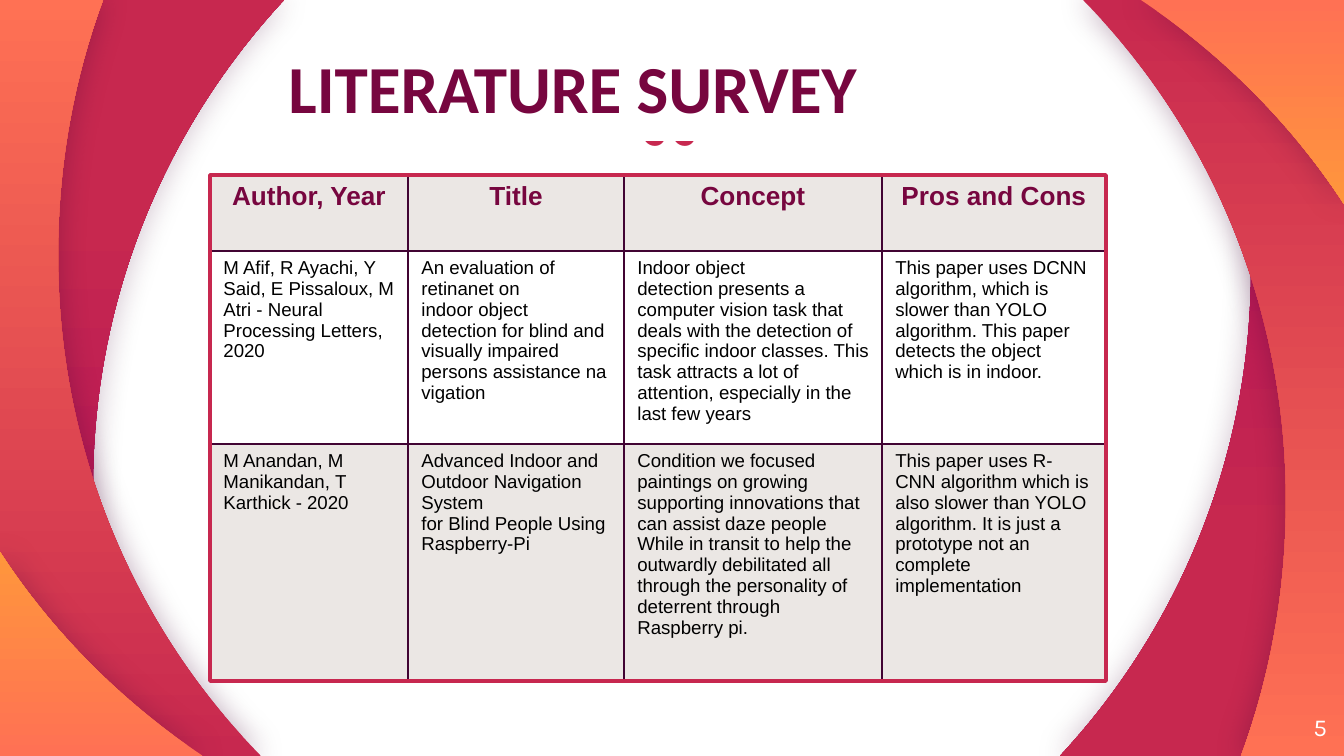
from lxml import etree
from pptx import Presentation
from pptx.dml.color import RGBColor
from pptx.enum.shapes import MSO_SHAPE
from pptx.enum.text import MSO_ANCHOR, MSO_AUTO_SIZE, PP_ALIGN
from pptx.oxml.ns import qn
from pptx.util import Pt

LEFT, CENTER, RIGHT = PP_ALIGN.LEFT, PP_ALIGN.CENTER, PP_ALIGN.RIGHT
TOP, MIDDLE = MSO_ANCHOR.TOP, MSO_ANCHOR.MIDDLE
RECT = MSO_SHAPE.RECTANGLE

WHITE = RGBColor(0xFF, 0xFF, 0xFF)
BLACK = RGBColor(0x00, 0x00, 0x00)
WINE = RGBColor(0x77, 0x06, 0x3F)
PLUM = RGBColor(0x41, 0x04, 0x33)
BERRY = RGBColor(0xAC, 0x0C, 0x5C)
RED = RGBColor(0xC7, 0x28, 0x4F)
CORAL = RGBColor(0xFF, 0x71, 0x54)
AMBER = RGBColor(0xFF, 0x96, 0x3C)
GREY = RGBColor(0xEB, 0xE7, 0xE4)

WIDE, HIGH = 1344, 756
EMU = 9144000 / WIDE
TIE = "~"  # stands for a no-break space in the texts below
HARD = chr(160)

TITLE = "LITERATURE SURVEY"
HEADS = ["Author, Year", "Title", "Concept", "Pros and Cons"]
PAPERS = [
    ["M Afif,~R Ayachi,~Y Said, E Pissaloux,~M Atri~- Neural Processing Letters, 2020~",
     "An evaluation of retinanet on indoor~object detection~for~blind~and visually "
     "impaired persons~assistance~navigation",
     "Indoor~object detection~presents a computer vision task that deals with the~"
     "detection~of specific indoor classes. This task attracts a lot of attention, "
     "especially in the last few years",
     "This paper uses DCNN algorithm, which is slower than YOLO algorithm. "
     "This paper detects the object which is in indoor."],
    ["M Anandan,~M Manikandan,~T Karthick~- 2020",
     "Advanced Indoor and Outdoor Navigation System for~Blind~People~Using Raspberry-Pi",
     "Condition we focused paintings~on~growing supporting innovations that can~assist~daze "
     "people While in transit to~help~the outwardly debilitated all through the "
     "personality of deterrent through Raspberry pi.~",
     "This paper uses R-CNN algorithm which is also slower than YOLO algorithm. "
     "It is just a prototype not an complete implementation"],
]
COLS = [198, 216, 258, 224]
ROWS = [76, 193, 237]
FRAME = (210, 175, sum(COLS), sum(ROWS))
MASKS = [(633, 44, 95, 95), (625, 62, 99, 72)]

# Right-hand bands; each one returns on the left turned by 180 degrees.
# Every three curve points are two handles and an end.
BANDS = [
    {"start": (1199, 0),
     "curve": [(1234, 86), (1251, 176), (1251, 269),
               (1251, 457), (1179, 628), (1060, 756)],
     "lines": [(WIDE, HIGH), (WIDE, 0)],
     "stops": [(0, BERRY), (0.72, RED)], "alpha": 25},
    {"start": (1083, 0),
     "curve": [(1210, 129), (1286, 306), (1286, 501),
               (1286, 589), (1271, 675), (1241, 756)],
     "lines": [(WIDE, HIGH), (WIDE, 0)],
     "stops": [(0, RED), (1, CORAL)], "alpha": 35},
    {"start": (1141, 0),
     "curve": [(1222, 54), (1292, 124), (1344, 204)],
     "lines": [(WIDE, 0)],
     "stops": [(0, CORAL), (1, AMBER)], "alpha": 30},
]


def px(*sizes):
    return [round(size * EMU) for size in sizes]


def bend(shape, count):
    """Turn the first count line points into cubic curves, three to a curve."""
    lines = list(shape._element.iter(qn("a:lnTo")))[:count]
    for first in range(0, count, 3):
        curve = etree.Element(qn("a:cubicBezTo"))
        lines[first].addprevious(curve)
        for line in lines[first:first + 3]:
            curve.append(line[0])
            line.getparent().remove(line)


def add_glow(shape, alpha):
    """Soft shadow on all sides."""
    shape.shadow.inherit = False
    effects = shape._element.spPr.find(qn("a:effectLst"))
    outer = etree.SubElement(effects, qn("a:outerShdw"), blurRad=str(Pt(16.9)),
                             dist="0", dir="0", algn="ctr", rotWithShape="0")
    color = etree.SubElement(outer, qn("a:srgbClr"), val=str(PLUM))
    etree.SubElement(color, qn("a:alpha"), val=str(alpha * 1000))


def add_band(shapes, band, turned):
    maker = shapes.build_freeform(*band["start"], scale=EMU)
    maker.add_line_segments(band["curve"] + band["lines"], close=True)
    shape = maker.convert_to_shape()
    bend(shape, len(band["curve"]))
    shape.fill.gradient()
    shape.fill.gradient_angle = 270
    for stop, (place, color) in zip(shape.fill.gradient_stops, band["stops"]):
        stop.position = place
        stop.color.rgb = color
    shape.line.fill.background()
    add_glow(shape, band["alpha"])
    if turned:
        shape.left, shape.top = 0, px(HIGH)[0] - shape.height
        shape.rotation = 180


def add_box(shapes, place, fill, line):
    box = shapes.add_shape(RECT, *px(*place))
    box.shadow.inherit = False
    if fill is None:
        box.fill.background()
    else:
        box.fill.solid()
        box.fill.fore_color.rgb = fill
    box.line.color.rgb = line
    box.line.width = Pt(2)


def write(frame, text, color, align, **font):
    para = frame.paragraphs[0]
    para.alignment = align
    run = para.add_run()
    run.text = text.replace(TIE, HARD)
    run.font.color.rgb = color
    for name, value in font.items():
        setattr(run.font, name, value)


def add_label(shapes, place, anchor):
    frame = shapes.add_textbox(*px(*place)).text_frame
    look = {"word_wrap": True, "vertical_anchor": anchor, "margin_left": 0,
            "margin_right": 0, "margin_top": 0, "margin_bottom": 0}
    for name, value in look.items():
        setattr(frame, name, value)
    return frame


def add_edges(cell, sides):
    props = cell._tc.get_or_add_tcPr()
    for side in sides:
        line = etree.SubElement(props, qn(f"a:ln{side}"), w=str(Pt(1)))
        fill = etree.SubElement(line, qn("a:solidFill"))
        etree.SubElement(fill, qn("a:srgbClr"), val=str(PLUM))


def add_survey(shapes):
    table = shapes.add_table(len(ROWS), len(COLS), *px(*FRAME)).table
    table.first_row = table.horz_banding = False
    for col, width in zip(table.columns, px(*COLS)):
        col.width = width
    for row, height in zip(table.rows, px(*ROWS)):
        row.height = height
    for r, texts in enumerate([HEADS, *PAPERS]):
        for c, text in enumerate(texts):
            cell = table.cell(r, c)
            inner = {"L": c > 0, "R": c < len(COLS) - 1,
                     "T": r > 0, "B": r < len(ROWS) - 1}
            add_edges(cell, [side for side, drawn in inner.items() if drawn])
            if r % 2:
                cell.fill.background()
            else:
                cell.fill.solid()
                cell.fill.fore_color.rgb = GREY
            head = r == 0
            write(cell.text_frame, text, WINE if head else BLACK,
                  CENTER if head else LEFT, name="Arial",
                  size=Pt(14 if head else 10), bold=head)


def main():
    deck = Presentation()
    deck.slide_width, deck.slide_height = px(WIDE, HIGH)
    slide = deck.slides.add_slide(deck.slide_layouts[5])
    shapes = slide.shapes

    quote = add_label(shapes, (528, 42, 288, 95), TOP)
    write(quote, "“", RED, CENTER, name="Karla", size=Pt(96))
    for turned in (False, True):
        for band in BANDS:
            add_band(shapes, band, turned)
    for mask in MASKS:
        add_box(shapes, mask, WHITE, WHITE)
    page = add_label(shapes, (1246, 698, 81, 58), MIDDLE)
    write(page, "5", WHITE, RIGHT, name="Karla", size=Pt(13))

    title = shapes.title
    title.left, title.top, title.width, title.height = px(275, 40, 992, 95)
    title.text_frame.vertical_anchor = TOP
    title.text_frame.auto_size = MSO_AUTO_SIZE.SHAPE_TO_FIT_TEXT
    write(title.text_frame, TITLE, WINE, LEFT, name="Calibri", size=Pt(36), bold=True)
    title._element.getparent().append(title._element)  # in front of the masks

    add_survey(shapes)
    add_box(shapes, FRAME, None, RED)
    deck.save("out.pptx")


if __name__ == "__main__":
    main()
